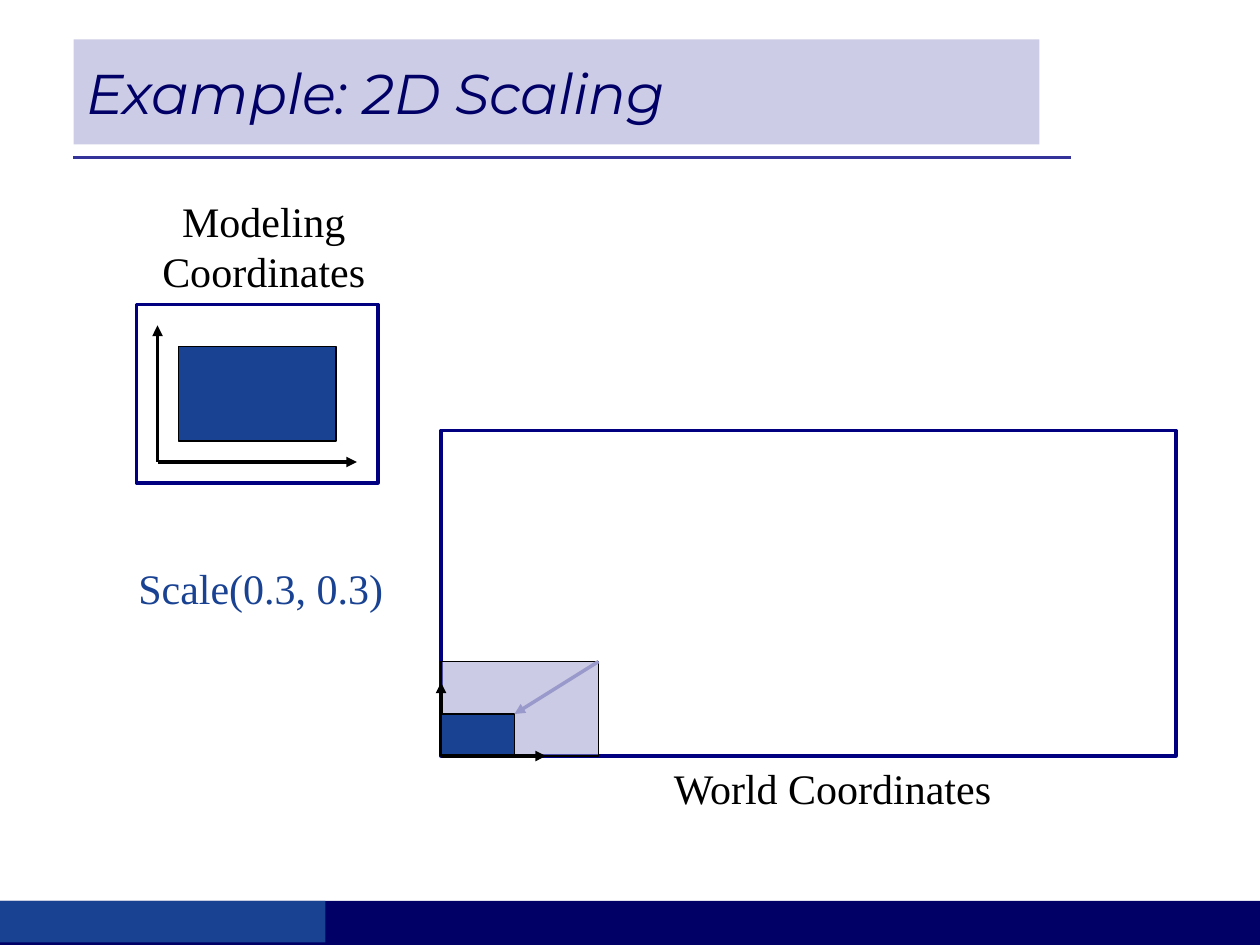
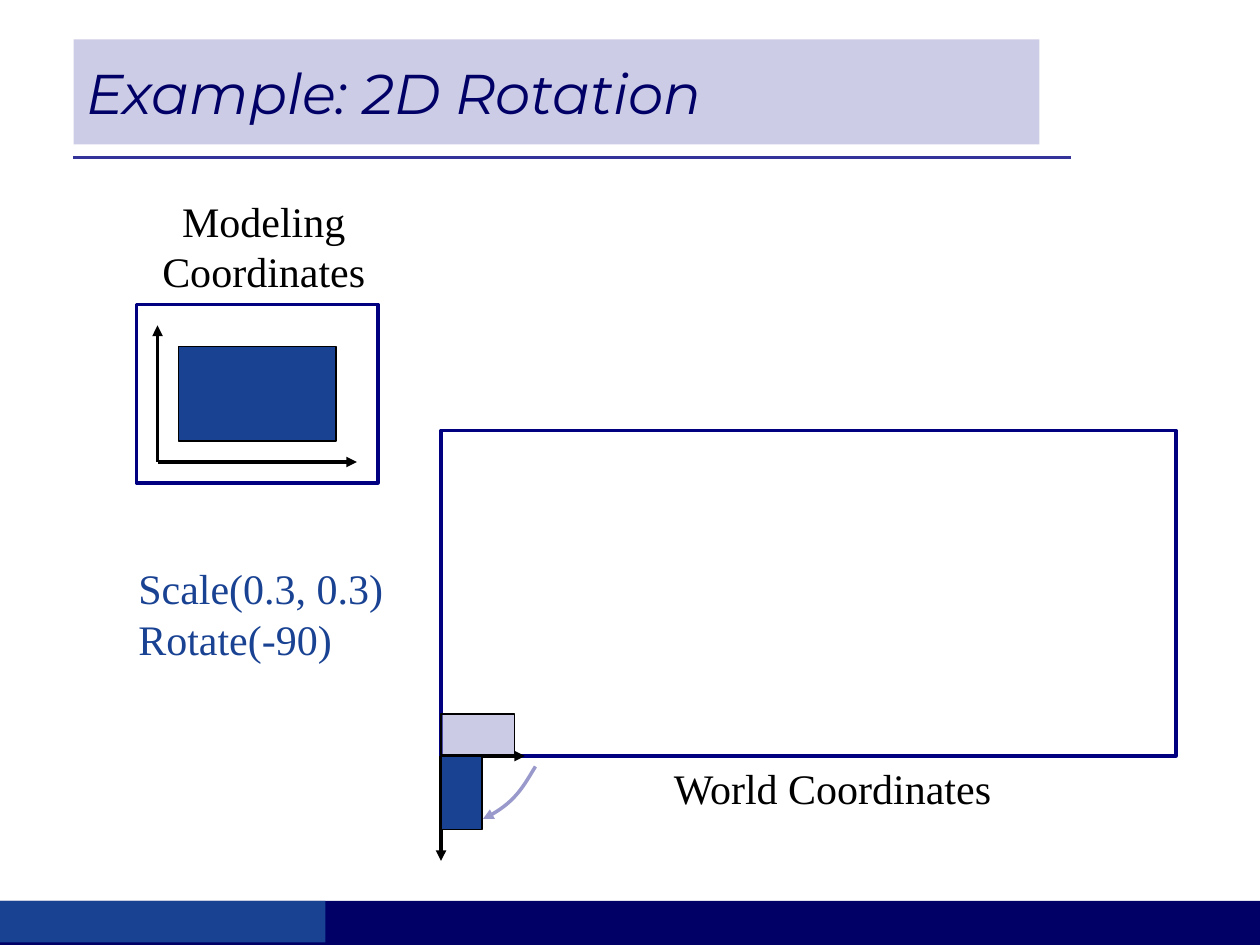
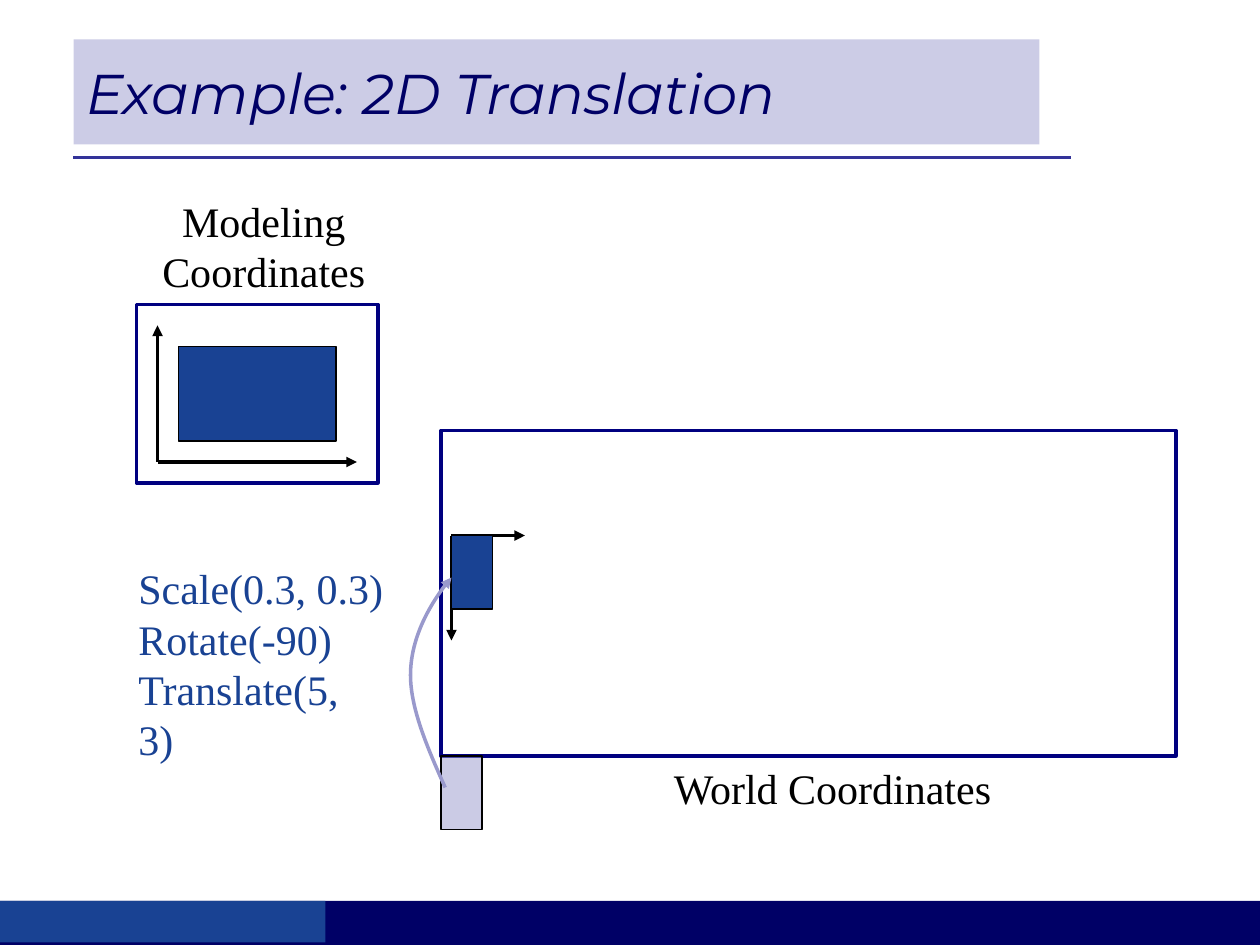
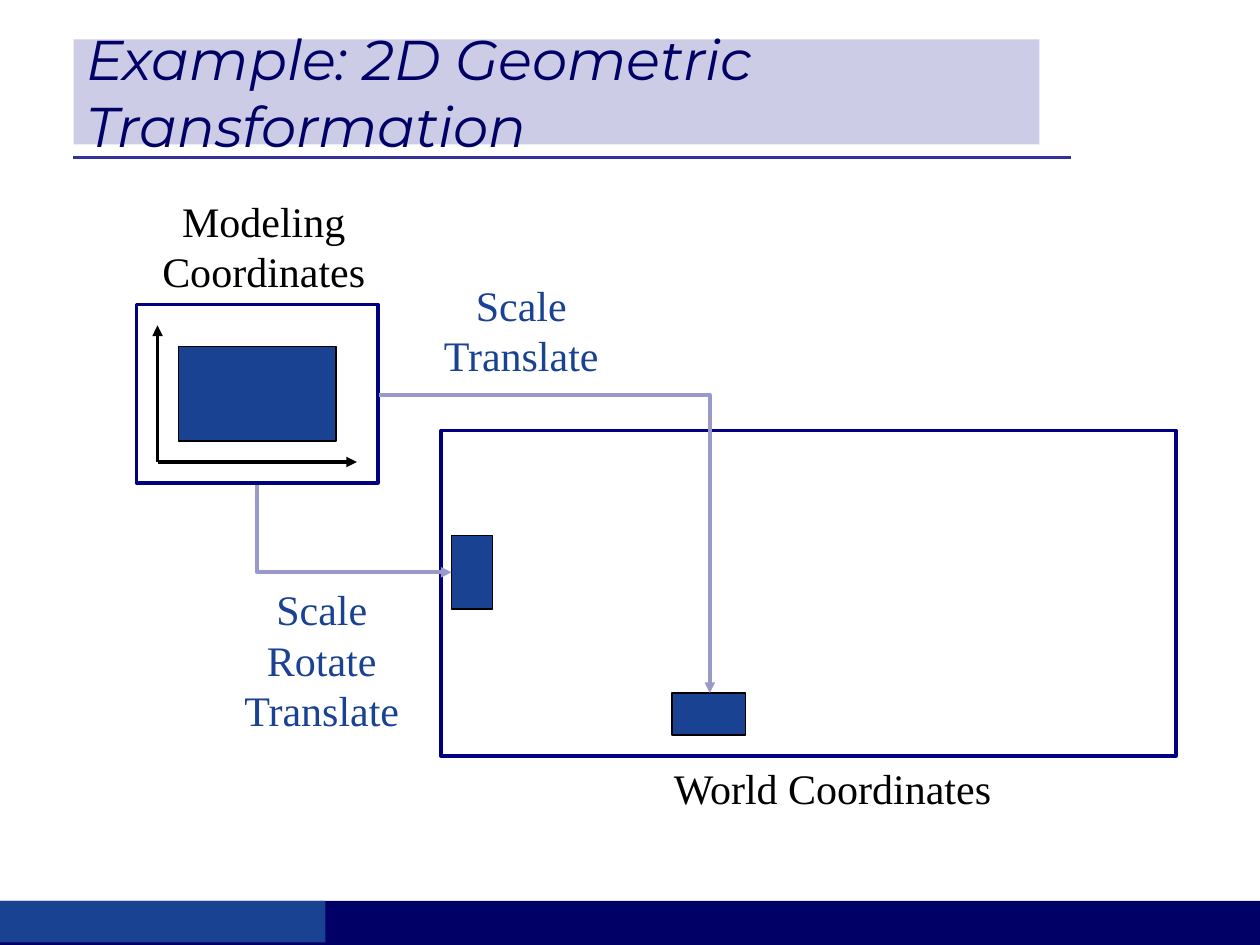
from lxml.etree import SubElement
from pptx import Presentation
from pptx.dml.color import RGBColor
from pptx.enum.shapes import MSO_CONNECTOR, MSO_SHAPE
from pptx.enum.text import MSO_ANCHOR, MSO_AUTO_SIZE, PP_ALIGN
from pptx.oxml.ns import qn
from pptx.util import Cm, Pt

COLORS = {
    "navy": "000066", "frame": "000080", "blue": "194293", "rule": "333399",
    "lavender": "CCCCE6", "motion": "9999CC", "black": "000000",
}
TITLE_FONT, BODY_FONT = "Montserrat", "Times New Roman"
UNIT = 2.54 / 12  # every position below counts these grid steps, in cm

# Shared geometry: left, top, width, height
TITLE_BOX = (7, 3.75, 92, 10)
RULE = ((7, 15), (102, 15))
FOOTERS = [((0, 85.8, 120, 4.2), "navy"), ((0, 85.8, 31, 3.96), "blue")]
FRAMES = [(13, 29, 23, 17), (42, 41, 70, 31)]
MODEL = (17, 33, 15, 9)
MODEL_AXES = ((15, 44), (34, 44), (15, 31))
SCALED = (7, 3.9)

STEPS = ["Scale(0.3, 0.3)", "Rotate(-90)", "Translate(5, 3)"]
STEPS_AT = (12, 53, 25.7)

# Each part: (kind, arguments...), from back to front
SLIDES = [
    ("Example: 2D Scaling", [
        ("ghost", (42, 63, 15, 9)),
        ("axes", (42, 72), (52, 72), (42, 65)),
        ("block", (42, 68, *SCALED)),
        ("move", (57, 63), (49, 68)),
        ("steps", STEPS_AT, STEPS[:1]),
    ]),
    ("Example: 2D Rotation", [
        ("axes", (42, 72), (50, 72), (42, 82)),
        ("turned block", (42, 72)),
        ("curve", [(51, 73), (49.9, 74.8), (49, 76.6), (46, 78)]),
        ("ghost", (42, 68, *SCALED)),
        ("steps", STEPS_AT, STEPS[:2]),
    ]),
    ("Example: 2D Translation", [
        ("axes", (43, 51), (50, 51), (43, 61)),
        ("turned block", (43, 51)),
        ("turned ghost", (42, 72)),
        ("curve", [(42.4, 75), (40.7, 71.2), (39, 67.3), (39.1, 64),
                   (39.2, 60.7), (41.3, 56.9), (43, 55)]),
        ("steps", STEPS_AT, STEPS),
    ]),
    ("Example: 2D Geometric Transformation", [
        ("centred steps", (41, 26, 17.3), ["Scale", "Translate"]),
        ("centred steps", (22, 55, 17.3), ["Scale", "Rotate", "Translate"]),
        ("turned block", (43, 51)),
        ("block", (64, 66, 7, 4)),
        ("elbow", (36.1, 37.6), (67.6, 66)),
        ("down elbow", (24.5, 46.2), (43, 54.5)),
    ]),
]


def rgb(name):
    return RGBColor.from_string(COLORS[name])


def grid(*values):
    return [Cm(v * UNIT) for v in values]


def style_line(line, color, width, arrow=False):
    line.color.rgb = rgb(color)
    line.width = Pt(width)
    if arrow:
        SubElement(line._get_or_add_ln(), qn("a:tailEnd"), type="triangle")


def add_rect(s, box, fill=None, line=None, width=0.75, alpha=None):
    sp = s.shapes.add_shape(MSO_SHAPE.RECTANGLE, *grid(*box))
    sp.shadow.inherit = False
    if fill:
        sp.fill.solid()
        sp.fill.fore_color.rgb = rgb(fill)
        if alpha:
            color = sp.element.spPr.find(".//" + qn("a:srgbClr"))
            SubElement(color, qn("a:alpha"), val=str(alpha * 1000))
    else:
        sp.fill.background()
    if line:
        style_line(sp.line, line, width)
    else:
        sp.line.fill.background()
    return sp


def add_block(s, box, ghost=False):
    if ghost:
        return add_rect(s, box, "motion", "black", alpha=50)
    return add_rect(s, box, "blue", "black")


def add_turned_block(s, corner, ghost=False):
    """Scaled block turned by 90 degrees, its visible top left at corner."""
    (x, y), (w, h) = corner, SCALED
    shift = (w - h) / 2
    add_block(s, (x - shift, y + shift, w, h), ghost).rotation = 90


def add_line(s, start, end, color="black", width=2, arrow=True,
             kind=MSO_CONNECTOR.STRAIGHT):
    sp = s.shapes.add_connector(kind, *grid(*start, *end))
    style_line(sp.line, color, width, arrow)
    SubElement(sp.element.spPr, qn("a:effectLst"))
    return sp


def add_axes(s, origin, x_end, y_end):
    for end in (x_end, y_end):
        add_line(s, origin, end)


def add_elbow(s, start, end, down_first=False):
    """One-corner arrow; down_first is the same shape flipped and turned."""
    if down_first:
        (x1, y1), (x2, y2) = start, end
        cx, cy = (x1 + x2) / 2, (y1 + y2) / 2
        dx, dy = (y2 - y1) / 2, (x2 - x1) / 2
        start, end = (cx + dx, cy - dy), (cx - dx, cy + dy)
    sp = add_line(s, start, end, "motion", kind=MSO_CONNECTOR.ELBOW)
    sp.element.spPr.find(qn("a:prstGeom")).set("prst", "bentConnector2")
    if down_first:
        sp.element.spPr.find(qn("a:xfrm")).set("rot", str(270 * 60000))


def add_curve(s, points):
    """Bezier arrow: a start point, then three points per segment."""
    start, *rest = [grid(*point) for point in points]
    builder = s.shapes.build_freeform(*start)
    builder.add_line_segments(rest, close=False)
    sp = builder.convert_to_shape()
    path = sp.element.spPr.find(".//" + qn("a:path"))
    lines = path.findall(qn("a:lnTo"))
    for i in range(0, len(lines), 3):
        bezier = SubElement(path, qn("a:cubicBezTo"))
        for line in lines[i:i + 3]:
            bezier.append(line[0])
            path.remove(line)
    sp.shadow.inherit = False
    sp.fill.background()
    style_line(sp.line, "motion", 2, arrow=True)


def add_text(s, place, lines, color="black", align=PP_ALIGN.LEFT):
    sp = s.shapes.add_textbox(*grid(*place, 1.2 + 4.8 * len(lines)))
    tf = sp.text_frame
    tf.word_wrap = False
    tf.auto_size = MSO_AUTO_SIZE.SHAPE_TO_FIT_TEXT
    tf.text = "\n".join(lines)
    for p in tf.paragraphs:
        p.alignment = align
        p.font.name, p.font.size = BODY_FONT, Pt(24)
        p.font.color.rgb = rgb(color)


def add_title(s, text):
    sp = s.shapes.title
    sp.left, sp.top, sp.width, sp.height = grid(*TITLE_BOX)
    sp.fill.solid()
    sp.fill.fore_color.rgb = rgb("lavender")
    tf = sp.text_frame
    tf.text = text
    tf.word_wrap = True
    tf.auto_size = MSO_AUTO_SIZE.NONE
    tf.vertical_anchor = MSO_ANCHOR.MIDDLE
    p = tf.paragraphs[0]
    p.alignment = PP_ALIGN.LEFT
    p.font.name, p.font.size, p.font.italic = TITLE_FONT, Pt(32), True
    p.font.color.rgb = rgb("navy")


def decorate_layout(layout, s):
    """Draw the rule and footer bands on s, then move them to the layout."""
    parts = [add_line(s, *RULE, "rule", 2.25, arrow=False)]
    parts += [add_rect(s, box, fill) for box, fill in FOOTERS]
    for sp in parts:
        layout.shapes.element.append(sp.element)


def add_coordinate_systems(s):
    for frame in FRAMES:
        add_rect(s, frame, line="frame", width=2)
    add_axes(s, *MODEL_AXES)
    add_block(s, MODEL)
    add_text(s, (14.25, 18, 21.75), ["Modeling", "Coordinates"],
             align=PP_ALIGN.CENTER)
    add_text(s, (63, 72, 32.9), ["World Coordinates"])


DRAW = {
    "block": add_block,
    "ghost": lambda s, box: add_block(s, box, ghost=True),
    "turned block": add_turned_block,
    "turned ghost": lambda s, at: add_turned_block(s, at, ghost=True),
    "axes": add_axes,
    "move": lambda s, start, end: add_line(s, start, end, "motion"),
    "curve": add_curve,
    "elbow": add_elbow,
    "down elbow": lambda s, start, end: add_elbow(s, start, end, True),
    "steps": lambda s, at, lines: add_text(s, at, lines, "blue"),
    "centred steps": lambda s, at, lines: add_text(
        s, at, lines, "blue", PP_ALIGN.CENTER),
}


def main():
    prs = Presentation()
    prs.slide_width, prs.slide_height = Cm(25.4), Cm(19.05)
    layout = prs.slide_layouts.get_by_name("Title Only")
    for i, (title, parts) in enumerate(SLIDES):
        s = prs.slides.add_slide(layout)
        if i == 0:
            decorate_layout(layout, s)
        add_title(s, title)
        add_coordinate_systems(s)
        for kind, *args in parts:
            DRAW[kind](s, *args)
    prs.save("out.pptx")


if __name__ == "__main__":
    main()
